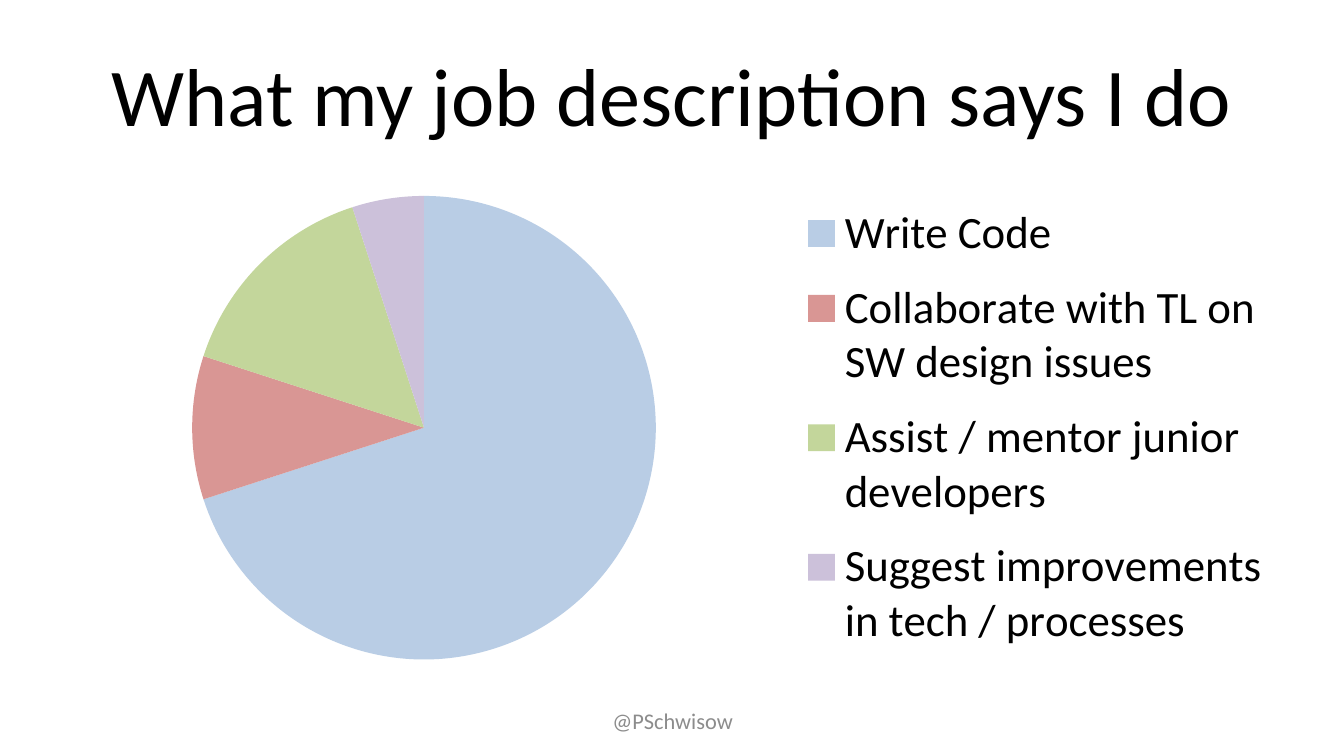
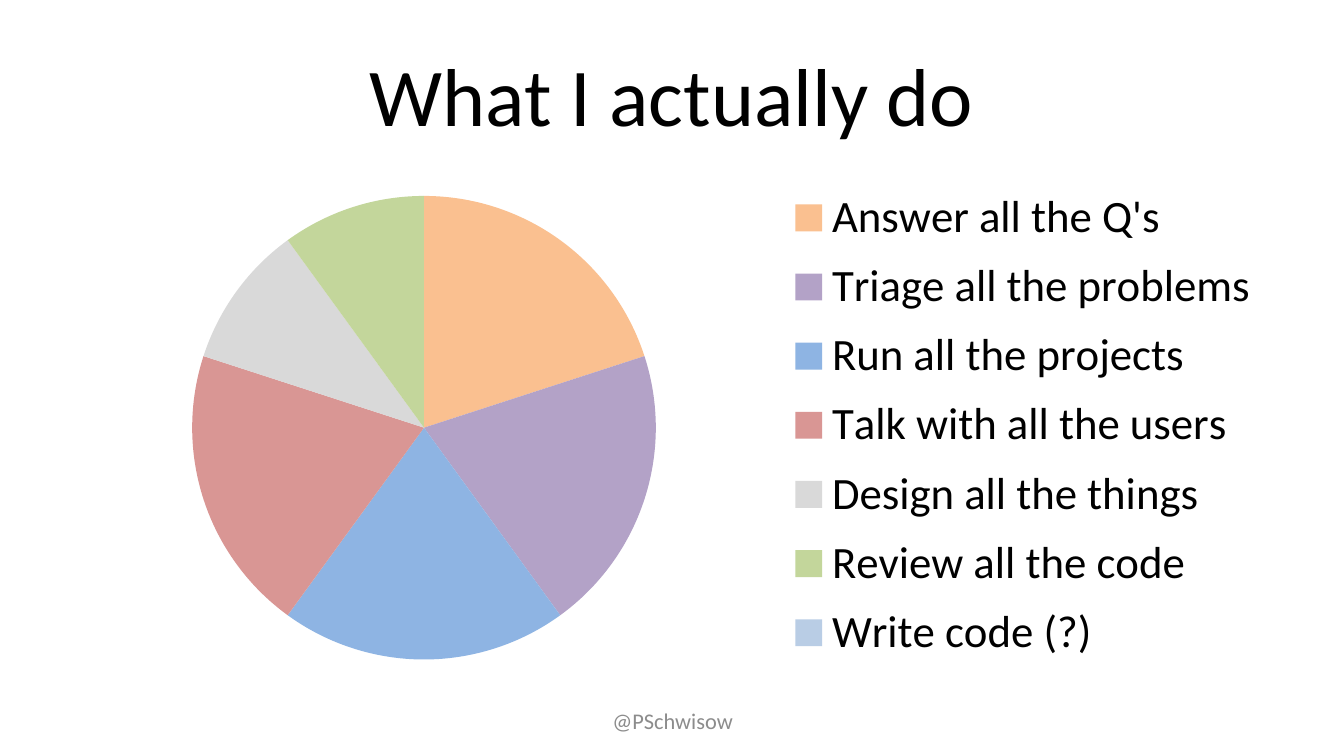
from dataclasses import dataclass

from pptx import Presentation
from pptx.chart.data import CategoryChartData
from pptx.dml.color import RGBColor
from pptx.enum.chart import XL_CHART_TYPE, XL_LEGEND_POSITION
from pptx.enum.text import MSO_ANCHOR, MSO_AUTO_SIZE, PP_ALIGN
from pptx.oxml.xmlchemy import OxmlElement
from pptx.util import Inches, Pt

PIE = XL_CHART_TYPE.PIE
RIGHT = XL_LEGEND_POSITION.RIGHT
MIDDLE = MSO_ANCHOR.MIDDLE
NO_AUTOFIT = MSO_AUTO_SIZE.NONE
CENTER = PP_ALIGN.CENTER
TITLE_ONLY = 5


@dataclass(frozen=True)
class Theme:
    font: str = "Calibri"
    background: str = "FFFFFF"
    ink: str = "000000"
    muted: str = "8C8C8C"
    light_blue: str = "B9CDE5"
    blue: str = "8EB4E3"
    red: str = "D99694"
    green: str = "C3D69B"
    lilac: str = "CCC1DA"
    purple: str = "B3A2C7"
    orange: str = "FAC090"
    grey: str = "D9D9D9"
    title_size: int = 44
    legend_size: int = 24
    chart_size: int = 18
    footer_size: int = 12


THEME = Theme()

# Content: title, legend area (fractions of the chart), (task, share, colour)
HANDLE = "@PSchwisow"
SLIDES = [
    ("What my job description says I do", (0.6, 0.02, 0.4, 0.97), [
        ("Write Code", 70, THEME.light_blue),
        ("Collaborate with TL on SW design issues", 10, THEME.red),
        ("Assist / mentor junior developers", 15, THEME.green),
        ("Suggest improvements in tech / processes", 5, THEME.lilac),
    ]),
    ("What I actually do", (0.59, 0, 0.4, 1), [
        ("Answer all the Q's", 20, THEME.orange),
        ("Triage all the problems", 20, THEME.purple),
        ("Run all the projects", 20, THEME.blue),
        ("Talk with all the users", 20, THEME.red),
        ("Design all the things", 10, THEME.grey),
        ("Review all the code", 10, THEME.green),
        ("Write code (?)", 0, THEME.light_blue),
    ]),
]

# Layout: left, top, width, height in inches; the pie in fractions of the chart
SLIDE_SIZE = (10, 10 * 9 / 16)
TITLE_BOX = (0.5, 0.23, 9, 0.94)
CHART_BOX = (0.5, 1.31, 9, 3.71)
FOOTER_BOX = (3.42, 5.21, 3.17, 0.3)
PIE_AREA = (0.1, 0.04, 0.39, 0.93)


def inches(box):
    return [Inches(length) for length in box]


def style_font(font, size, color=THEME.ink):
    font.name = THEME.font
    font.size = Pt(size)
    font.color.rgb = RGBColor.from_string(color)


def write_text(holder, text, *, size, color=THEME.ink, align=CENTER):
    frame = holder.text_frame
    frame.word_wrap = True
    frame.auto_size = NO_AUTOFIT
    frame.vertical_anchor = MIDDLE
    paragraph = frame.paragraphs[0]
    paragraph.alignment = align
    run = paragraph.add_run()
    run.text = text
    style_font(run.font, size, color)


def place_in_chart(part, area, position, target=None):
    """Give a chart part a fixed area, as its child at the given position."""
    for automatic in part.findall("{*}layout"):
        part.remove(automatic)
    layout = OxmlElement("c:layout")
    manual = OxmlElement("c:manualLayout")
    layout.append(manual)
    settings = [("layoutTarget", target)] if target else []
    settings += [("xMode", "edge"), ("yMode", "edge"), *zip("xywh", area)]
    for tag, value in settings:
        setting = OxmlElement(f"c:{tag}")
        setting.set("val", str(value))
        manual.append(setting)
    part.insert(position, layout)


def add_task_pie(slide, tasks, legend_area):
    names, shares, colors = zip(*tasks)
    data = CategoryChartData()
    data.categories = names
    data.add_series("Series 1", shares)
    chart = slide.shapes.add_chart(PIE, *inches(CHART_BOX), data).chart
    chart.has_title = False
    style_font(chart.font, THEME.chart_size)

    chart.has_legend = True
    legend = chart.legend
    legend.position = RIGHT
    legend.include_in_layout = False
    style_font(legend.font, THEME.legend_size)
    place_in_chart(legend._element, legend_area, 1)
    place_in_chart(chart._chartSpace.chart.plotArea, PIE_AREA, 0, "inner")

    pie = chart.plots[0]
    pie.vary_by_categories = True
    for index, color in enumerate(colors):
        wedge = pie.series[0].points[index].format
        wedge.fill.solid()
        wedge.fill.fore_color.rgb = RGBColor.from_string(color)
        wedge.line.fill.background()


def add_task_slide(deck, heading, legend_area, tasks):
    slide = deck.slides.add_slide(deck.slide_layouts[TITLE_ONLY])
    slide.background.fill.solid()
    slide.background.fill.fore_color.rgb = RGBColor.from_string(THEME.background)

    # Title
    title = slide.shapes.title
    title.left, title.top, title.width, title.height = inches(TITLE_BOX)
    write_text(title, heading, size=THEME.title_size)

    # Chart and footer
    add_task_pie(slide, tasks, legend_area)
    footer = slide.shapes.add_textbox(*inches(FOOTER_BOX))
    write_text(footer, HANDLE, size=THEME.footer_size, color=THEME.muted)


def main():
    deck = Presentation()
    deck.slide_width, deck.slide_height = inches(SLIDE_SIZE)
    for heading, legend_area, tasks in SLIDES:
        add_task_slide(deck, heading, legend_area, tasks)
    deck.save("out.pptx")


if __name__ == "__main__":
    main()
